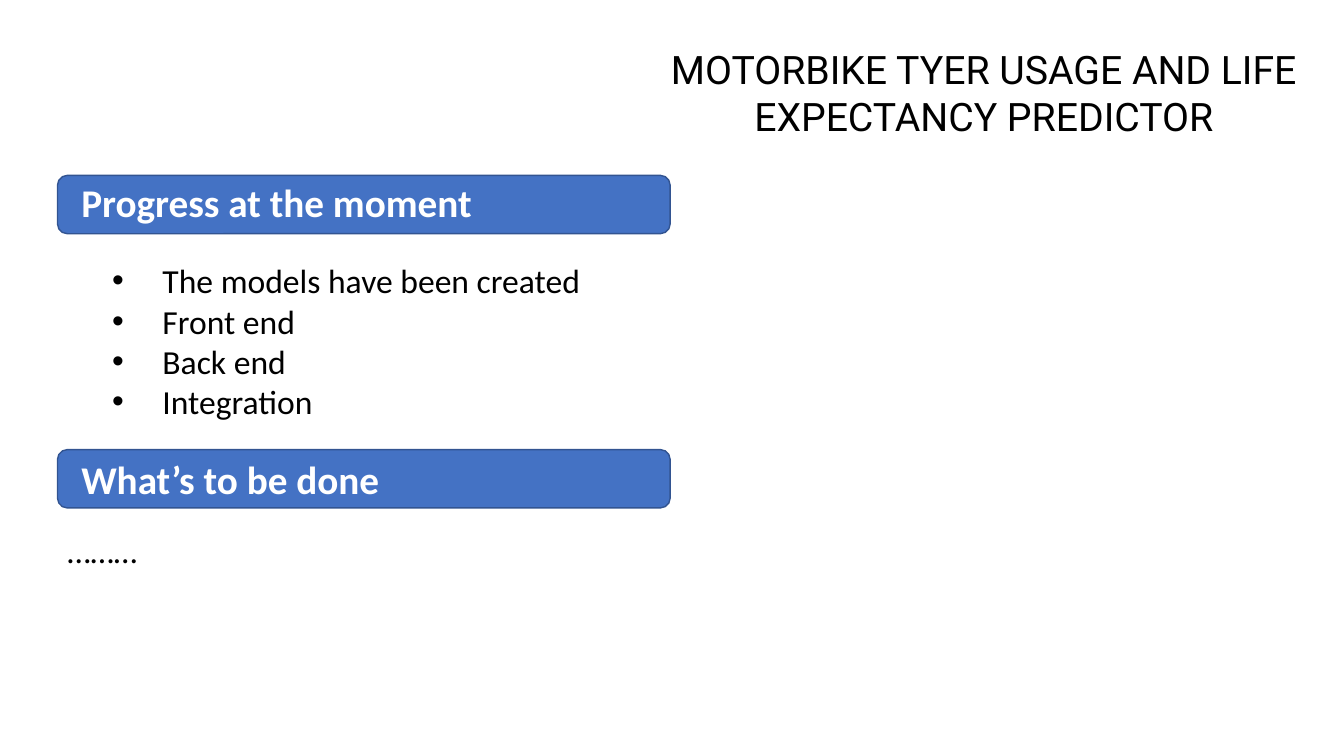
from lxml import etree
from pptx import Presentation
from pptx import util as u
from pptx.dml.color import RGBColor
from pptx.enum import shapes, text
from pptx.oxml.ns import qn

COLOURS = {"text": "000000", "heading": "FFFFFF", "bar": "4472C4", "outline": "325491"}
TITLE = {"name": "Roboto", "size": u.Pt(28), "bold": False}
BODY = {"name": "Calibri", "size": u.Pt(24), "bold": False}
HEADING = {"name": "Calibri", "size": u.Pt(28), "bold": True}


class ProgressSlide:
    """Hold the current slide and draw its styled elements."""

    def __init__(self, presentation):
        self.slide = presentation.slides.add_slide(presentation.slide_layouts[1])

    def place(self, shape, box):
        shape.left, shape.top, shape.width, shape.height = (u.Cm(length) for length in box)

    def fill_text(self, shape, lines, style, colour="text", align=text.PP_ALIGN.LEFT, bullet=None):
        frame = shape.text_frame
        settings = {
            "word_wrap": True,
            "auto_size": text.MSO_AUTO_SIZE.NONE,
            "vertical_anchor": text.MSO_ANCHOR.TOP,
        }
        for name, value in settings.items():
            setattr(frame, name, value)
        frame.text = "\n".join(lines)
        for paragraph in frame.paragraphs:
            paragraph.alignment = align
            paragraph.space_before = u.Pt(0)
            if bullet:
                self.add_bullet(paragraph, bullet)
            for name, value in style.items():
                setattr(paragraph.font, name, value)
            paragraph.font.color.rgb = RGBColor.from_string(COLOURS[colour])

    def add_bullet(self, paragraph, bullet):
        properties = paragraph._p.get_or_add_pPr()
        indent = u.Cm(1.27)
        properties.set("marL", str(indent))
        properties.set("indent", str(-indent))
        etree.SubElement(properties, qn("a:buFont"), typeface="Arial")
        etree.SubElement(properties, qn("a:buChar"), char=bullet)

    def title(self, wording, box):
        shape = self.slide.shapes.title
        self.place(shape, box)
        self.fill_text(shape, [wording], TITLE, align=text.PP_ALIGN.CENTER)

    def bullets(self, lines, box):
        shape = self.slide.placeholders[1]
        self.place(shape, box)
        self.fill_text(shape, lines, BODY, bullet="•")

    def textbox(self, wording, box, style, colour="text"):
        shape = self.slide.shapes.add_textbox(*(u.Cm(length) for length in box))
        self.fill_text(shape, [wording], style, colour)

    def heading(self, wording, bar_top, text_top, text_width):
        box = (u.Cm(length) for length in (1.45, bar_top, 15.44, 1.47))
        bar = self.slide.shapes.add_shape(shapes.MSO_SHAPE.ROUNDED_RECTANGLE, *box)
        bar.shadow.inherit = False
        bar.fill.solid()
        bar.fill.fore_color.rgb = RGBColor.from_string(COLOURS["bar"])
        bar.line.color.rgb = RGBColor.from_string(COLOURS["outline"])
        bar.line.width = u.Pt(1)
        self.textbox(wording, (1.8, text_top, text_width, 2.24), HEADING, "heading")


def main():
    presentation = Presentation()
    presentation.slide_width = u.Cm(33.87)
    presentation.slide_height = u.Cm(19.05)
    page = ProgressSlide(presentation)
    page.title("MOTORBIKE TYER USAGE AND LIFE EXPECTANCY PREDICTOR", (16, 1.02, 17.58, 3.43))
    page.bullets(
        ["The models have been created", "Front end", "Back end", "Integration"],
        (2.57, 6.43, 26.85, 4.37),
    )
    page.heading("Progress at the moment", 4.42, 4.37, 19.41)
    page.heading("What’s to be done", 11.33, 11.35, 21.18)
    page.textbox("………", (1.45, 13.23, 26.85, 1.27), BODY)
    presentation.save("out.pptx")


if __name__ == "__main__":
    main()
